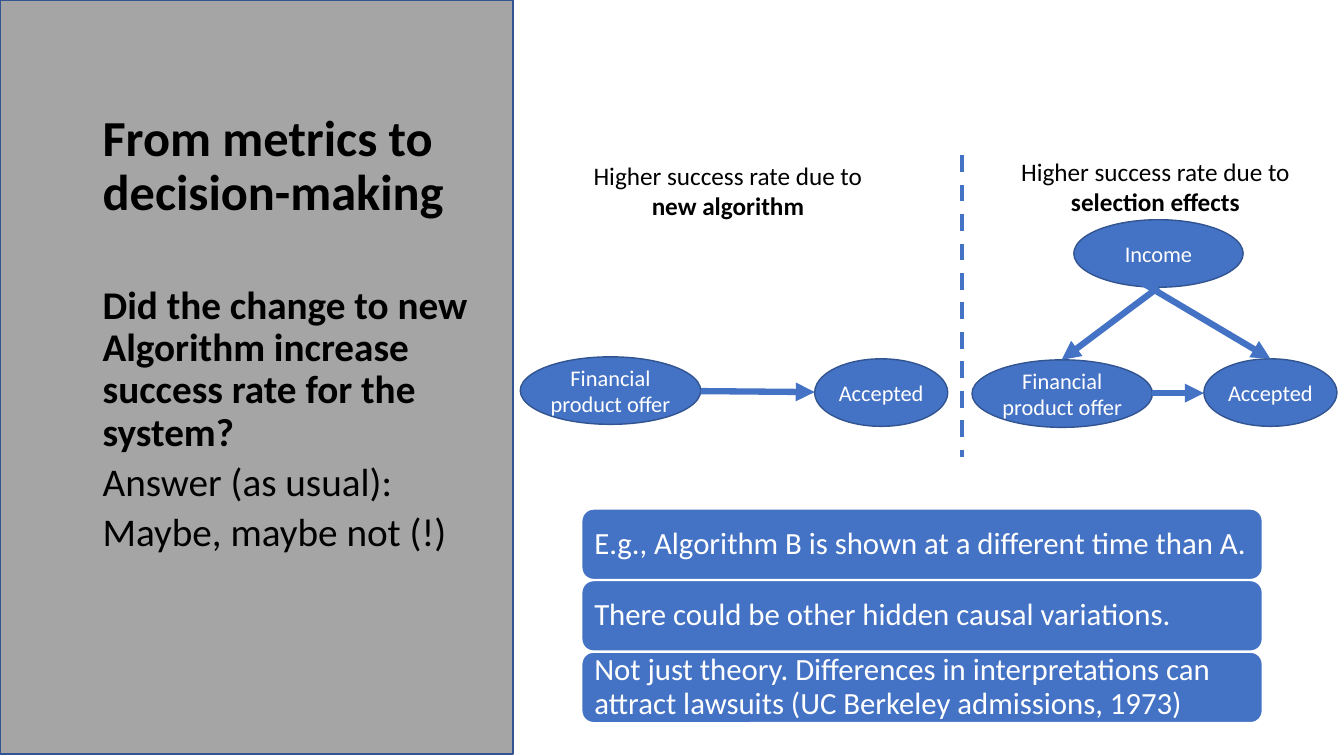
"""Build the slide on moving from success metrics to decision-making."""
from lxml import etree
from pptx import Presentation
from pptx import util as u
from pptx.dml.color import RGBColor
from pptx.enum import dml, shapes, text
from pptx.oxml.ns import qn

BLUE, NAVY, GREY, BLACK, WHITE = "4472C4", "325491", "A5A5A5", "000000", "FFFFFF"
SIDEBAR = (0, 0, 5.09, 7.48)
TITLE = ["From metrics to decision-making"]
QUESTION = [
    "Did the change to new Algorithm increase success rate for the system?",
    "Answer (as usual):",
    "Maybe, maybe not (!)",
]
HEADINGS = [
    ((5.1, 1.54, 4.24, 0.71), ["Higher success rate due to", "new algorithm"]),
    ((9.34, 1.5, 4.24, 0.71), ["Higher success rate due to", "selection effects"]),
]
NODE_HEIGHT = 0.67
NODES = [
    ("Financial product offer", 5.16, 3.54, 1.79),
    ("Accepted", 8.08, 3.56, 1.32),
    ("Income", 10.65, 2.18, 1.68),
    ("Financial product offer", 9.64, 3.57, 1.79),
    ("Accepted", 11.94, 3.56, 1.32),
]
ARROWS = [
    (6.95, 3.88, 8.08, 3.89),
    (11.49, 2.85, 10.53, 3.57),
    (11.32, 2.8, 12.6, 3.56),
    (11.43, 3.9, 11.94, 3.9),
]
DIVIDER = (9.54, 1.54, 9.54, 4.53)
CAVEATS = [
    "E.g., Algorithm B is shown at a different time than A.",
    "There could be other hidden causal variations.",
    "Not just theory. Differences in interpretations can attract lawsuits (UC Berkeley admissions, 1973)",
]
CAVEAT_BOX, CAVEAT_STEP = (5.77, 5.05, 6.75, 0.7), 0.71

SHAPE = shapes.MSO_SHAPE
LEFT, CENTER = text.PP_ALIGN.LEFT, text.PP_ALIGN.CENTER
TOP, MIDDLE, BOTTOM = text.MSO_ANCHOR.TOP, text.MSO_ANCHOR.MIDDLE, text.MSO_ANCHOR.BOTTOM


def inches(values):
    return [u.Inches(value) for value in values]


def paint(color_format, color):
    color_format.rgb = RGBColor.from_string(color)


def apply(target, values):
    for name, value in values.items():
        setattr(target, name, value)


def write(shape, lines, size, color=BLACK, bold_lines=(), anchor=TOP, margins=(0.1, 0.05), **layout):
    side, edge = inches(margins)
    frame = shape.text_frame
    apply(frame, {
        "word_wrap": True, "vertical_anchor": anchor,
        "margin_left": side, "margin_right": side,
        "margin_top": edge, "margin_bottom": edge,
    })
    for index, line in enumerate(lines):
        paragraph = frame.paragraphs[0] if index == 0 else frame.add_paragraph()
        paragraph.text = line
        apply(paragraph, layout)
        if index == 0:
            paragraph.space_before = u.Pt(0)
        apply(paragraph.font, {"name": "Calibri", "size": u.Pt(size), "bold": index in bold_lines})
        paint(paragraph.font.color, color)


def add_box(slide, kind, box, fill, line):
    shape = slide.shapes.add_shape(kind, *inches(box))
    shape.shadow.inherit = False
    shape.fill.solid()
    paint(shape.fill.fore_color, fill)
    paint(shape.line.color, line)
    shape.line.width = u.Pt(1)
    return shape


def add_label(slide, box, lines, size, **layout):
    write(slide.shapes.add_textbox(*inches(box)), lines, size, **layout)


def add_line(slide, ends, width):
    connector = slide.shapes.add_connector(shapes.MSO_CONNECTOR.STRAIGHT, *inches(ends))
    paint(connector.line.color, BLUE)
    connector.line.width = u.Pt(width)
    etree.SubElement(connector._element.spPr, qn("a:effectLst"))
    return connector


def main():
    presentation = Presentation()
    apply(presentation, {"slide_width": u.Inches(13.33), "slide_height": u.Inches(7.5)})
    slide = presentation.slides.add_slide(presentation.slide_layouts[6])

    add_box(slide, SHAPE.RECTANGLE, SIDEBAR, GREY, NAVY)
    add_label(slide, (0.92, 0.5, 4.3, 1.75), TITLE, 36, bold_lines=(0,), anchor=BOTTOM, line_spacing=0.9)
    add_label(slide, (0.92, 2.78, 4.3, 3.64), QUESTION, 28, bold_lines=(0,),
              line_spacing=0.9, space_before=u.Pt(5.6))

    left, top, width, height = CAVEAT_BOX
    for row, caveat in enumerate(CAVEATS):
        box = (left, top + row * CAVEAT_STEP, width, height)
        shape = add_box(slide, SHAPE.ROUNDED_RECTANGLE, box, BLUE, WHITE)
        write(shape, [caveat], 22, WHITE, anchor=MIDDLE, margins=(0.09, 0.09),
              alignment=LEFT, line_spacing=0.9)

    for label, left, top, width in NODES:
        shape = add_box(slide, SHAPE.OVAL, (left, top, width, NODE_HEIGHT), BLUE, NAVY)
        write(shape, [label], 16, WHITE, anchor=MIDDLE, margins=(0, 0.05), alignment=CENTER)

    for ends in ARROWS:
        arrow = add_line(slide, ends, 4.5)
        etree.SubElement(arrow.line._get_or_add_ln(), qn("a:tailEnd"), type="triangle")
    add_line(slide, DIVIDER, 3).line.dash_style = dml.MSO_LINE.DASH

    for box, lines in HEADINGS:
        add_label(slide, box, lines, 18, bold_lines=(1,), alignment=CENTER)

    presentation.save("out.pptx")


if __name__ == "__main__":
    main()
